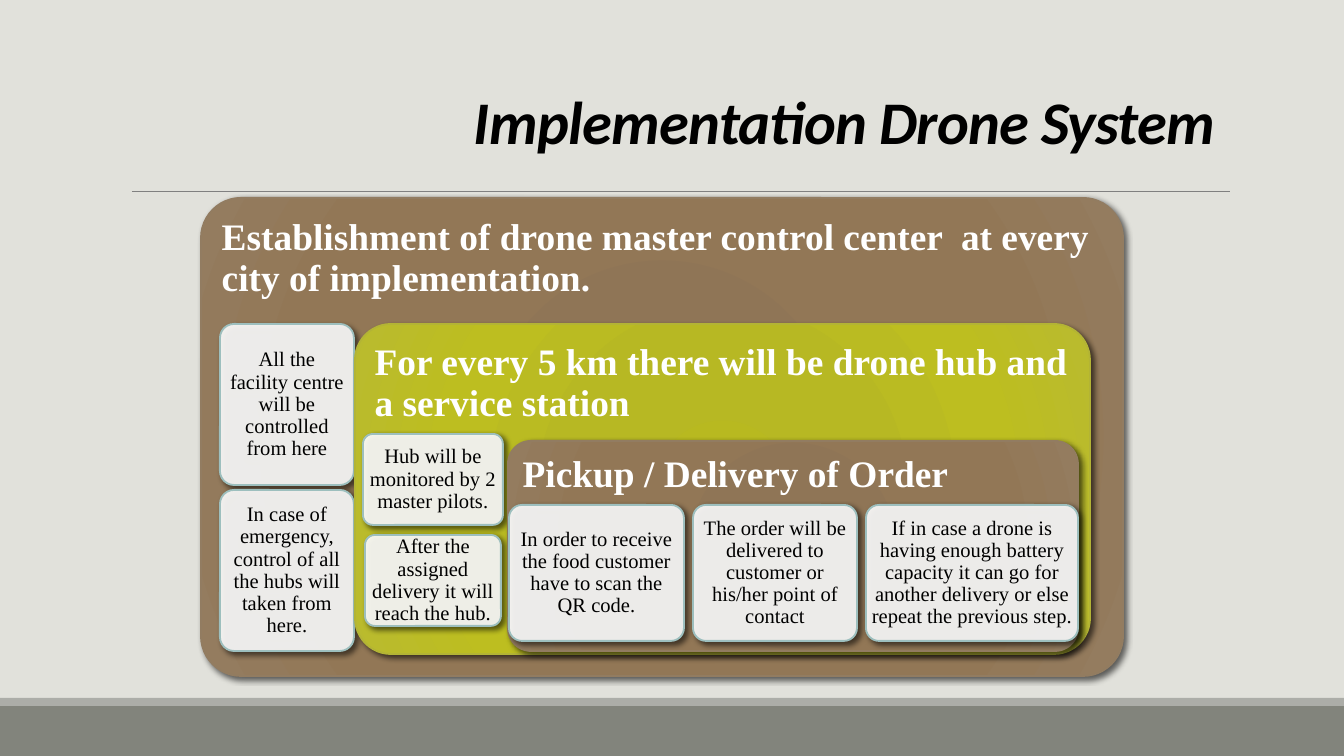
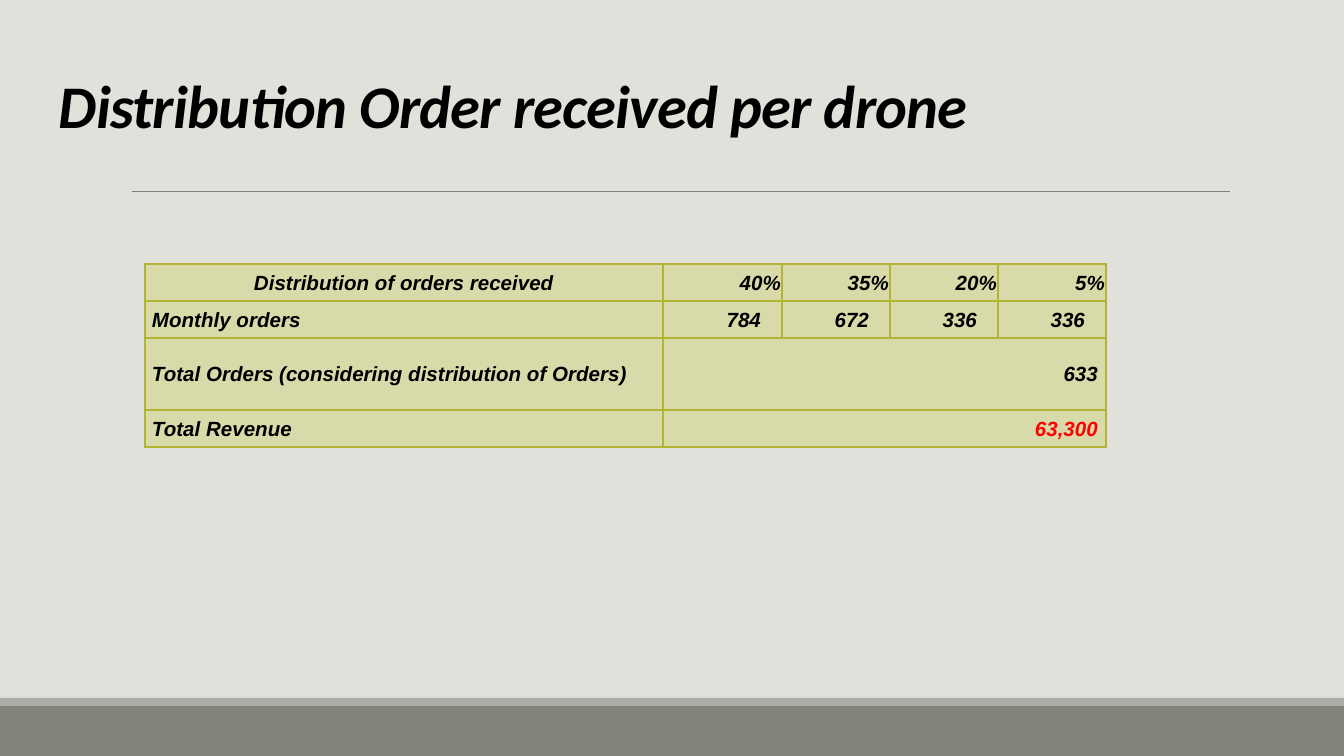
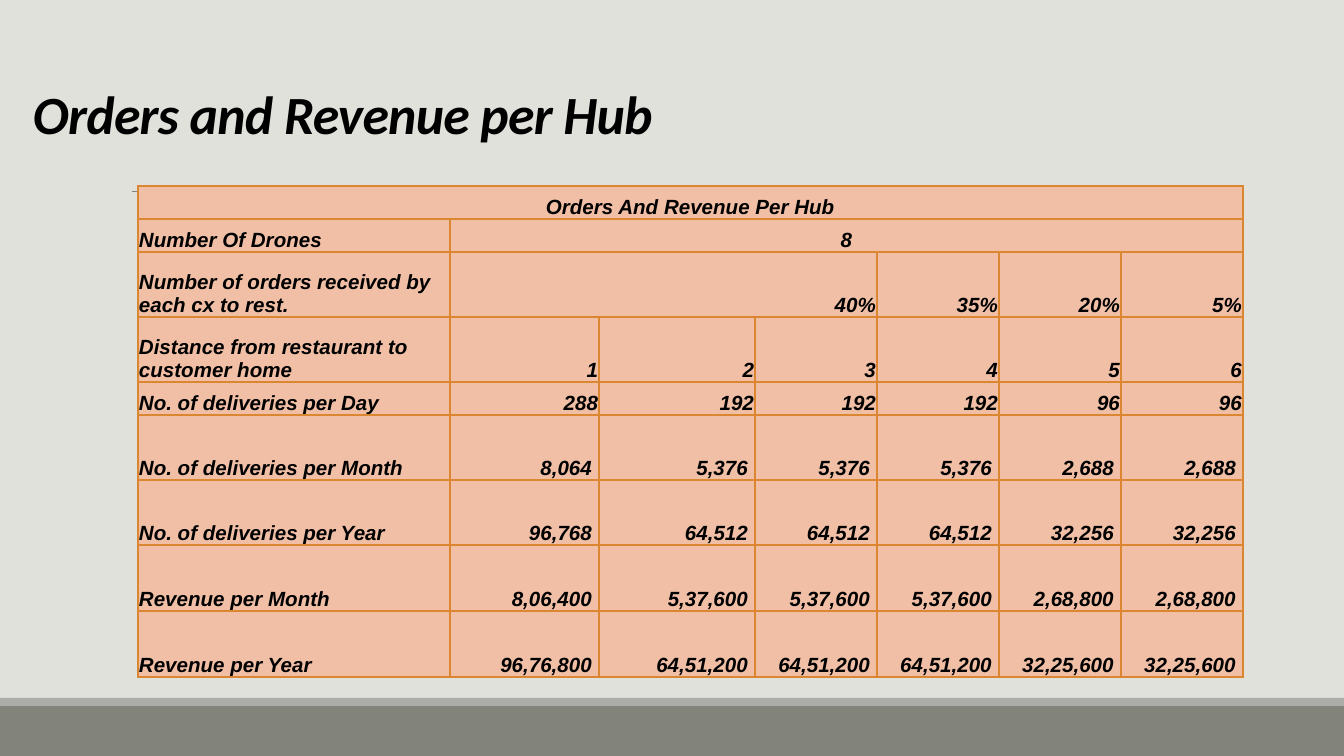
from dataclasses import dataclass

import pptx
import pptx.dml.color
import pptx.enum.shapes
import pptx.enum.text
import pptx.oxml
import pptx.oxml.ns
import pptx.util
from lxml import etree

SLIDE_WIDTH, SLIDE_HEIGHT = 1344, 756
EMU_PER_PX = 9144000 / SLIDE_WIDTH

COLORS = {
    "background": "E1E1DB",
    "band": "82847C",
    "band_edge": "ACADA8",
    "divider": "808080",
    "black": "000000",
    "white": "FFFFFF",
    "card_line": "9DBFBE",
    "brown_line": "927C61",
    "lime_line": "B3B435",
    "lime_cell": "D8DAA9",
    "orange_line": "DB8631",
    "orange_cell": "F0BFA6",
    "revenue": "FF0000",
}
PANEL_STOPS = {
    "brown": {0: "8F7454", 34: "8F7556", 70: "927756", 100: "947C5F"},
    "lime": {0: "B8B920", 34: "B7B823", 70: "BDBE20", 100: "B9BA2F"},
}
TITLE_FONT, DIAGRAM_FONT, TABLE_FONT = "Calibri", "Times New Roman", "Arial"
# Share of the corner radius by which a rounded rectangle insets its text
CORNER_INSET = 0.29

ALIGN = pptx.enum.text.PP_ALIGN
ANCHOR = pptx.enum.text.MSO_ANCHOR
PRESET = pptx.enum.shapes.MSO_SHAPE


@dataclass(frozen=True)
class Box:
    left: int
    top: int
    width: int
    height: int


@dataclass(frozen=True)
class Panel:
    """A coloured stage with a heading that holds cards or further panels."""
    heading: str
    box: Box
    radius: int
    inset: int
    tone: str


@dataclass(frozen=True)
class Card:
    text: str
    box: Box
    radius: int
    inset: int


@dataclass(frozen=True)
class Row:
    """A label and its values; the label takes the columns that no value spans."""
    height: int
    label: str
    values: tuple[str, ...] = ()
    spans: tuple[int, ...] = ()
    label_align: ALIGN = ALIGN.LEFT
    value_align: ALIGN = ALIGN.RIGHT
    gap: int = 1
    color: str = "black"


@dataclass(frozen=True)
class Grid:
    left: int
    top: int
    columns: tuple[int, ...]
    rows: tuple[Row, ...]
    anchor: ANCHOR
    label_gap: int
    tone: str


STAGES = (
    Panel("Establishment of drone master control center  at every city of implementation.",
          Box(201, 198, 922, 478), 40, 21, "brown"),
    Card("All the facility centre will be controlled from here",
         Box(220, 324, 134, 161), 14, 8),
    Card("In case of emergency, control of all the hubs will taken from here.",
         Box(220, 490, 134, 161), 14, 8),
    Panel("For every 5 km there will be drone hub and a service station",
          Box(355, 324, 735, 330), 36, 19, "lime"),
    Card("Hub will be monitored by 2 master pilots.",
         Box(363, 434, 140, 91), 10, 6),
    Card("After the assigned delivery it will reach the hub.",
         Box(365, 535, 136, 91), 10, 6),
    Panel("Pickup / Delivery of Order", Box(508, 441, 570, 210), 23, 15, "brown"),
    Card("In order to receive the food customer have to scan the QR code.",
         Box(509, 505, 175, 136), 13, 5),
    Card("The order will be delivered to customer or his/her point of contact",
         Box(693, 505, 164, 136), 13, 5),
    Card("If in case a drone is having enough battery capacity it can go for another "
         "delivery or else repeat the previous step.",
         Box(866, 505, 212, 136), 13, 5),
)

DISTRIBUTION = Grid(145, 264, (518, 119, 108, 108, 108), (
    Row(37, "Distribution of orders received", ("40%", "35%", "20%", "5%"),
        label_align=ALIGN.CENTER),
    Row(37, "Monthly orders", ("784", "672", "336", "336"), gap=21),
    Row(72, "Total Orders (considering distribution of Orders)", ("633",), (4,), gap=8),
    Row(37, "Total Revenue", ("63,300",), (4,), gap=8, color="revenue"),
), ANCHOR.MIDDLE, 7, "lime")

HUB_REVENUE = Grid(138, 186, (312, 149, 156) + (122,) * 4, (
    Row(33, "Orders And Revenue Per Hub", label_align=ALIGN.CENTER),
    Row(33, "Number Of Drones", ("8",), (6,), value_align=ALIGN.CENTER),
    Row(65, "Number of orders received by each cx to rest.",
        ("40%", "35%", "20%", "5%"), (3, 1, 1, 1)),
    Row(65, "Distance from restaurant to customer home", ("1", "2", "3", "4", "5", "6")),
    Row(33, "No. of deliveries per Day", ("288", "192", "192", "192", "96", "96")),
    Row(65, "No. of deliveries per Month",
        ("8,064", "5,376", "5,376", "5,376", "2,688", "2,688"), gap=7),
    Row(65, "No. of deliveries per Year",
        ("96,768", "64,512", "64,512", "64,512", "32,256", "32,256"), gap=7),
    Row(66, "Revenue per Month",
        ("8,06,400", "5,37,600", "5,37,600", "5,37,600", "2,68,800", "2,68,800"), gap=7),
    Row(66, "Revenue per Year",
        ("96,76,800", "64,51,200", "64,51,200", "64,51,200", "32,25,600", "32,25,600"),
        gap=7),
), ANCHOR.BOTTOM, 1, "orange")


def px(length: float) -> int:
    return round(length * EMU_PER_PX)


def place(box: Box) -> tuple[int, ...]:
    return tuple(px(side) for side in (box.left, box.top, box.width, box.height))


def rgb(name: str) -> pptx.dml.color.RGBColor:
    return pptx.dml.color.RGBColor.from_string(COLORS[name])


def add_node(parent, tag: str, **attributes: str):
    node = etree.SubElement(parent, pptx.oxml.ns.qn(f"a:{tag}"))
    for key, value in attributes.items():
        node.set(key, value)
    return node


def write(frame, text: str, font: str, size: float, color: str, *, bold: bool = False,
          italic: bool = False, align: ALIGN = ALIGN.LEFT, spacing: float = 1.0) -> None:
    paragraph = frame.paragraphs[0]
    paragraph.add_run().text = text
    paragraph.alignment = align
    paragraph.line_spacing = spacing
    paragraph.font.name = font
    paragraph.font.size = pptx.util.Pt(size)
    paragraph.font.bold = bold
    paragraph.font.italic = italic
    paragraph.font.color.rgb = rgb(color)


def set_margins(owner, left: float, top: float, right: float, bottom: float) -> None:
    owner.margin_left, owner.margin_top = px(left), px(top)
    owner.margin_right, owner.margin_bottom = px(right), px(bottom)


def add_band(slide, box: Box, color: str) -> None:
    band = slide.shapes.add_shape(PRESET.RECTANGLE, *place(box))
    band.shadow.inherit = False
    band.fill.solid()
    band.fill.fore_color.rgb = rgb(color)
    band.line.fill.background()


def add_base_slide(deck, title: str, title_box: Box, title_size: float):
    """Add a slide with the shared background, bands, divider and title."""
    slide = deck.slides.add_slide(deck.slide_layouts[6])
    slide.background.fill.solid()
    slide.background.fill.fore_color.rgb = rgb("background")
    add_band(slide, Box(0, 706, SLIDE_WIDTH, 50), "band")
    add_band(slide, Box(0, 698, SLIDE_WIDTH, 8), "band_edge")

    divider = slide.shapes.add_connector(
        pptx.enum.shapes.MSO_CONNECTOR.STRAIGHT, px(132), px(192), px(1230), px(192))
    divider.line.color.rgb = rgb("divider")
    divider.line.width = pptx.util.Pt(0.5)
    add_node(divider._element.spPr, "effectLst")

    frame = slide.shapes.add_textbox(*place(title_box)).text_frame
    frame.word_wrap = True
    set_margins(frame, 13, 13, 13, 13)
    write(frame, title, TITLE_FONT, title_size, "black", bold=True, italic=True,
          spacing=0.85)
    frame.paragraphs[0].runs[0].font._element.set("spc", "-40")
    return slide


def add_rounded(slide, box: Box, radius: int, inset: int, line: str):
    """Add an outlined, shadowed rounded box whose text starts inset px from its sides."""
    shape = slide.shapes.add_shape(PRESET.ROUNDED_RECTANGLE, *place(box))
    shape.adjustments[0] = radius / min(box.width, box.height)
    shape.line.color.rgb = rgb(line)
    shape.line.width = pptx.util.Pt(1)
    shape.shadow.inherit = False
    effects = shape._element.spPr.find(pptx.oxml.ns.qn("a:effectLst"))
    shadow = add_node(effects, "outerShdw", blurRad="38100", dist="25400",
                      dir="2700000", rotWithShape="0")
    add_node(add_node(shadow, "srgbClr", val=COLORS["black"]), "alpha", val="60000")
    shape.text_frame.word_wrap = True
    set_margins(shape.text_frame, *[round(inset - CORNER_INSET * radius)] * 4)
    return shape


def add_panel(slide, panel: Panel) -> None:
    shape = add_rounded(slide, panel.box, panel.radius, panel.inset, f"{panel.tone}_line")
    shape.fill.gradient()
    gradient = shape._element.spPr.find(pptx.oxml.ns.qn("a:gradFill"))
    for child in list(gradient):
        gradient.remove(child)
    stops = add_node(gradient, "gsLst")
    for position, color in PANEL_STOPS[panel.tone].items():
        add_node(add_node(stops, "gs", pos=str(position * 1000)), "srgbClr", val=color)
    add_node(add_node(gradient, "path", path="circle"), "fillToRect",
             **dict.fromkeys("ltrb", "100000"))
    shape.text_frame.vertical_anchor = ANCHOR.TOP
    write(shape.text_frame, panel.heading, DIAGRAM_FONT, 20, "white", bold=True,
          spacing=0.9)


def add_card(slide, card: Card) -> None:
    shape = add_rounded(slide, card.box, card.radius, card.inset, "card_line")
    shape.fill.solid()
    shape.fill.fore_color.rgb = rgb("white")
    fill = shape._element.spPr.find(pptx.oxml.ns.qn("a:solidFill"))
    add_node(fill[0], "alpha", val="90000")
    shape.text_frame.vertical_anchor = ANCHOR.MIDDLE
    write(shape.text_frame, card.text, DIAGRAM_FONT, 11, "black", align=ALIGN.CENTER,
          spacing=0.9)


def style_cell(cell, tone: str) -> None:
    properties = cell._tc.get_or_add_tcPr()
    for side in "LRTB":
        border = add_node(properties, f"ln{side}", w="12700")
        add_node(add_node(border, "solidFill"), "srgbClr", val=COLORS[f"{tone}_line"])
    cell.fill.solid()
    cell.fill.fore_color.rgb = rgb(f"{tone}_cell")


def add_grid(slide, grid: Grid) -> None:
    box = Box(grid.left, grid.top, sum(grid.columns), sum(row.height for row in grid.rows))
    table = slide.shapes.add_table(len(grid.rows), len(grid.columns), *place(box)).table
    table.first_row = table.horz_banding = False
    for column, width in zip(table.columns, grid.columns):
        column.width = px(width)
    for cell in table.iter_cells():
        style_cell(cell, grid.tone)

    for index, row in enumerate(grid.rows):
        table.rows[index].height = px(row.height)
        spans = row.spans or (1,) * len(row.values)
        label_span = len(grid.columns) - sum(spans)
        label_gap = 1 if row.label_align == ALIGN.CENTER else grid.label_gap
        entries = [(row.label, label_span, row.label_align, label_gap, 1, "black")]
        entries += [(value, span, row.value_align, 1, row.gap, row.color)
                    for value, span in zip(row.values, spans)]
        start = 0
        for text, span, align, left_gap, right_gap, color in entries:
            cell = table.cell(index, start)
            if span > 1:
                cell.merge(table.cell(index, start + span - 1))
            cell.vertical_anchor = grid.anchor
            set_margins(cell, left_gap, 1, right_gap, 0)
            write(cell.text_frame, text, TABLE_FONT, 11, color, bold=True, italic=True,
                  align=align)
            start += span


def main() -> None:
    deck = pptx.Presentation()
    deck.slide_width, deck.slide_height = px(SLIDE_WIDTH), px(SLIDE_HEIGHT)

    implementation = add_base_slide(
        deck, "Implementation Drone System", Box(461, 82, 876, 85), 32.4)
    for stage in STAGES:
        if isinstance(stage, Panel):
            add_panel(implementation, stage)
        else:
            add_card(implementation, stage)

    distribution = add_base_slide(
        deck, "Distribution Order received per drone", Box(46, 66, 1253, 85), 32.4)
    add_grid(distribution, DISTRIBUTION)

    hub_revenue = add_base_slide(
        deck, "Orders and Revenue per Hub", Box(20, 78, 1253, 85), 28.8)
    add_grid(hub_revenue, HUB_REVENUE)

    deck.save("out.pptx")


if __name__ == "__main__":
    main()
